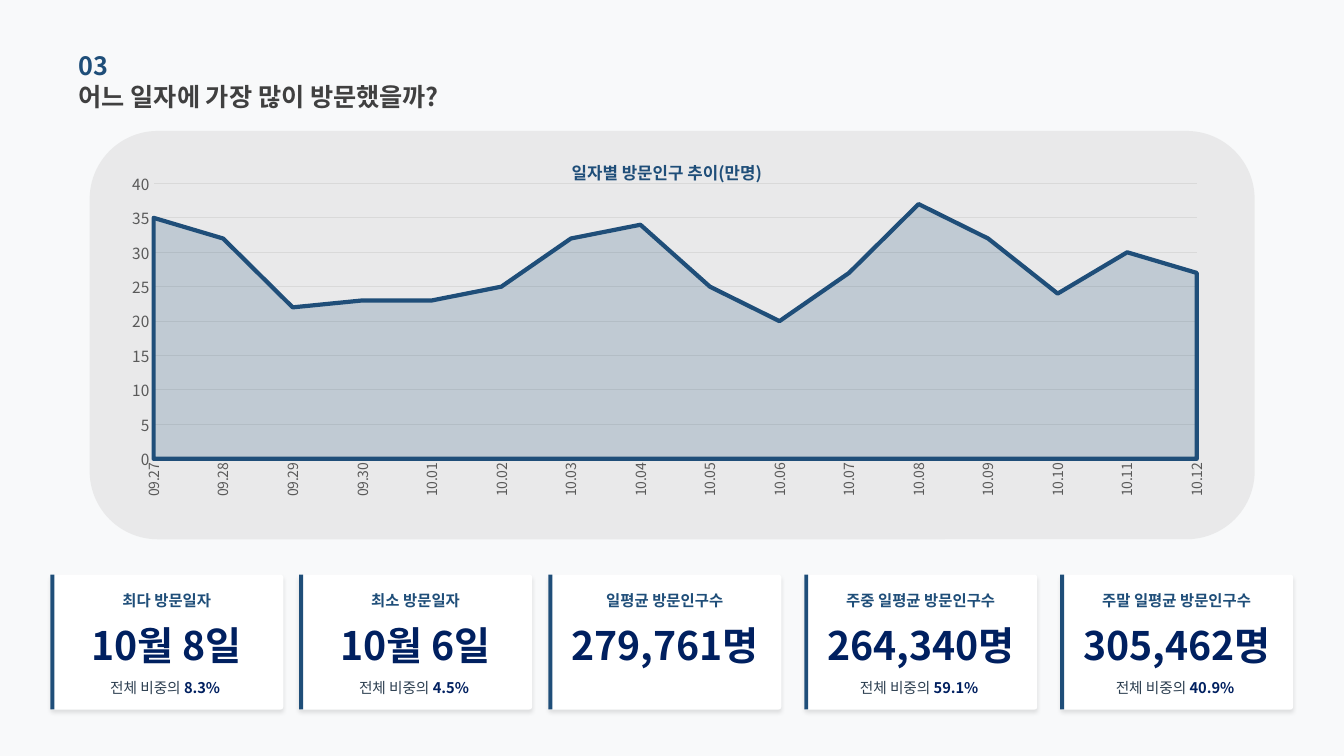
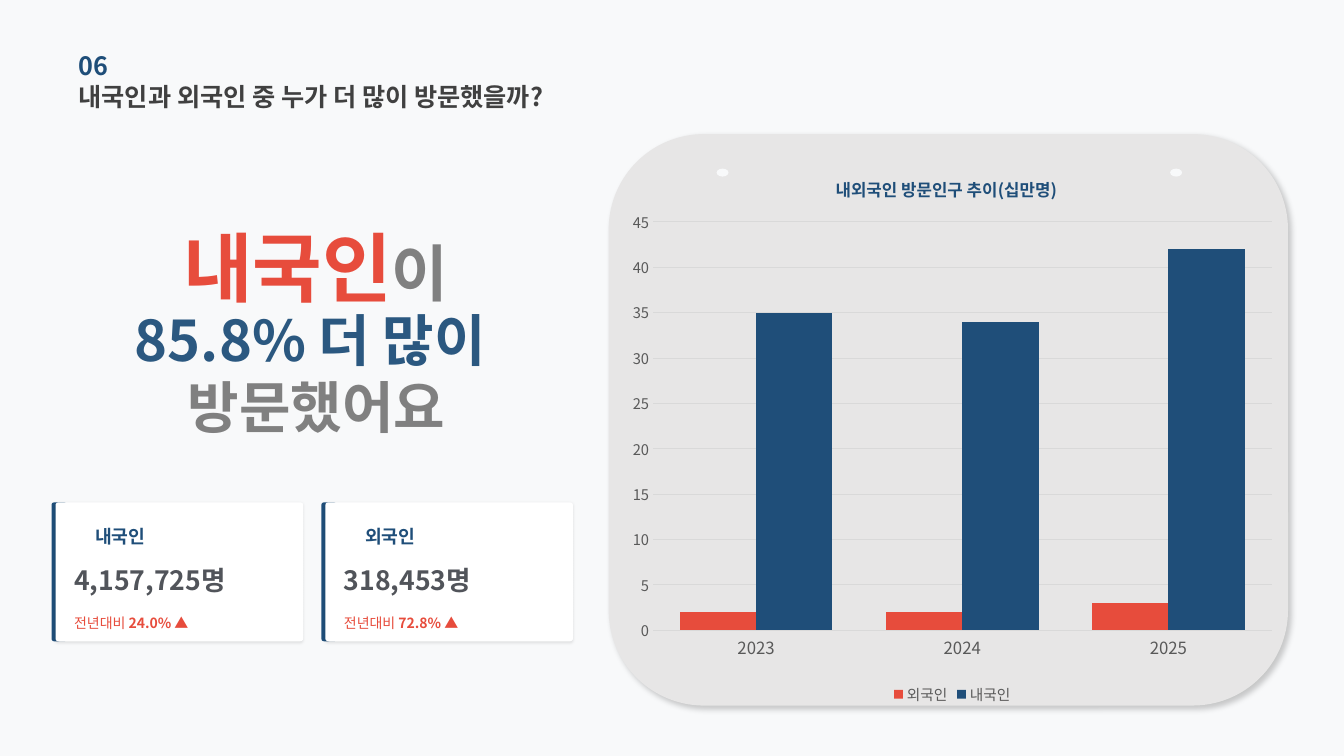
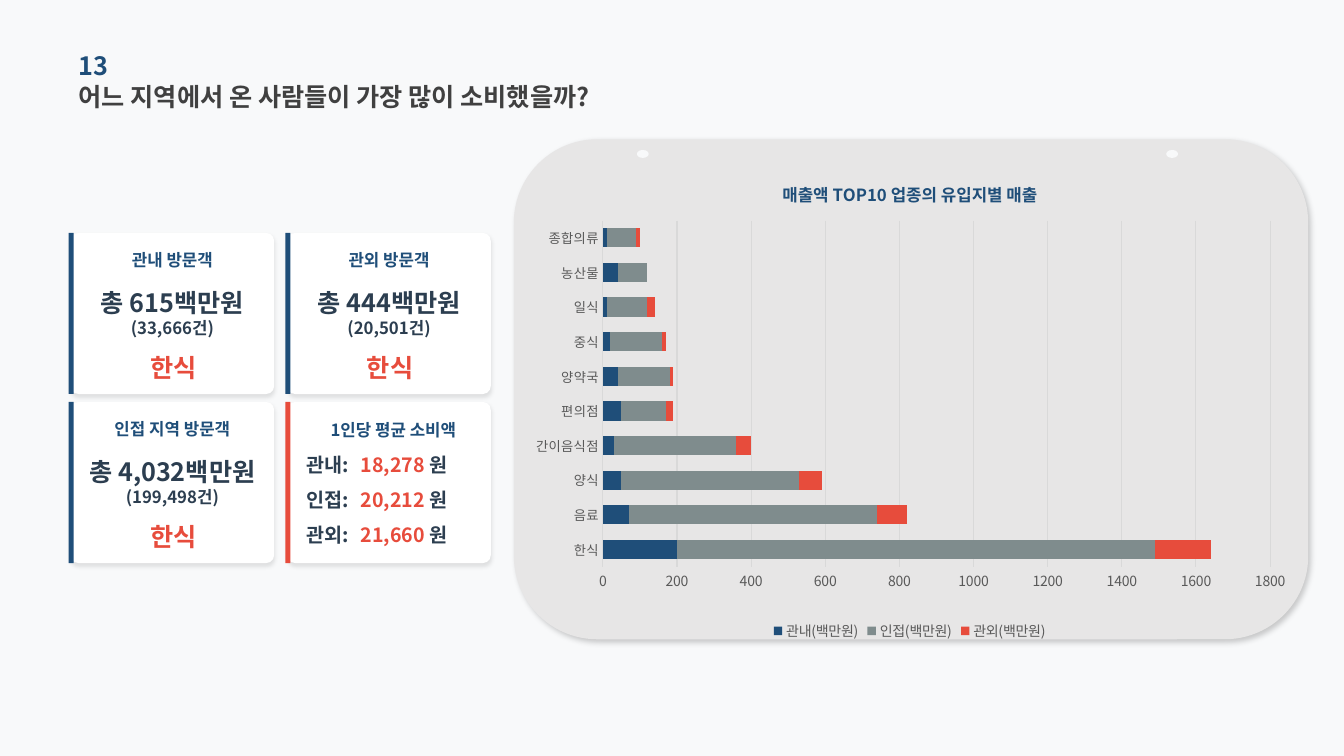
from collections import namedtuple

from pptx import Presentation
from pptx.chart.data import CategoryChartData
from pptx.dml.color import RGBColor
from pptx.enum.chart import XL_CHART_TYPE, XL_LEGEND_POSITION, XL_TICK_MARK
from pptx.enum.shapes import MSO_SHAPE
from pptx.enum.text import MSO_ANCHOR, MSO_AUTO_SIZE, PP_ALIGN
from pptx.oxml import parse_xml
from pptx.oxml.ns import nsdecls, qn
from pptx.util import Cm, Pt

AREA = XL_CHART_TYPE.AREA
COLUMN = XL_CHART_TYPE.COLUMN_CLUSTERED
STACKED_BAR = XL_CHART_TYPE.BAR_STACKED
LEGEND_BOTTOM = XL_LEGEND_POSITION.BOTTOM
NO_TICK = XL_TICK_MARK.NONE
RECT = MSO_SHAPE.RECTANGLE
ROUNDED = MSO_SHAPE.ROUNDED_RECTANGLE
OVAL = MSO_SHAPE.OVAL
MIDDLE = MSO_ANCHOR.MIDDLE
NO_FIT = MSO_AUTO_SIZE.NONE
LEFT = PP_ALIGN.LEFT
CENTER = PP_ALIGN.CENTER

FONT = "Noto Sans CJK KR"
BACKGROUND = RGBColor(0xF8, 0xF9, 0xFA)
WHITE = RGBColor(0xFF, 0xFF, 0xFF)
BLUE = RGBColor(0x1F, 0x4E, 0x79)
SOFT_BLUE = RGBColor(0x2B, 0x58, 0x80)
NAVY = RGBColor(0x00, 0x20, 0x60)
SLATE = RGBColor(0x2C, 0x3E, 0x50)
RED = RGBColor(0xE7, 0x4C, 0x3C)
TITLE_GRAY = RGBColor(0x40, 0x40, 0x40)
AXIS_GRAY = RGBColor(0x59, 0x59, 0x59)
FIGURE_GRAY = RGBColor(0x51, 0x54, 0x5A)
HEADLINE_GRAY = RGBColor(0x80, 0x80, 0x80)
SERIES_GRAY = RGBColor(0x7F, 0x8C, 0x8D)
GRID_GRAY = RGBColor(0xD9, 0xD9, 0xD9)
PANEL_GRAY = RGBColor(0xE7, 0xE6, 0xE6)
PALE_PANEL = RGBColor(0xD0, 0xCE, 0xCE)

Span = namedtuple("Span", "text size color bold", defaults=(True,))
Shadow = namedtuple("Shadow", "opacity blur distance angle")
Series = namedtuple("Series", "name values color")
ChartStyle = namedtuple("ChartStyle", "category_size value_size top step title_at plot_at")

CARD_SHADOW = Shadow(10, 3, 2, 90)
SMALL_SHADOW = Shadow(10, 2, 1, 90)
PANEL_SHADOW = Shadow(20, 4, 3, 45)


def set_font(font, size, color, bold=False):
    font.name = FONT
    font.size = Pt(size)
    font.bold = bold
    font.color.rgb = color
    font._rPr.append(parse_xml(f'<a:ea {nsdecls("a")} typeface="{FONT}"/>'))


def set_opacity(element, percent):
    color = next(element.iter(qn("a:srgbClr")))
    color.append(parse_xml(f'<a:alpha {nsdecls("a")} val="{percent * 1000}"/>'))


def fill_frame(frame, lines, align):
    frame.margin_left = frame.margin_right = frame.margin_top = frame.margin_bottom = 0
    frame.word_wrap = True
    frame.auto_size = NO_FIT
    frame.vertical_anchor = MIDDLE
    for index, spans in enumerate(lines):
        para = frame.add_paragraph() if index else frame.paragraphs[0]
        para.alignment = align
        if len(spans) == 1:
            set_font(para.font, *spans[0][1:])
        for span in spans:
            run = para.add_run()
            run.text = span.text
            if len(spans) > 1:
                set_font(run.font, *span[1:])


def add_text(page, box, *lines, align=LEFT):
    text_box = page.shapes.add_textbox(*map(Cm, box))
    fill_frame(text_box.text_frame, lines, align)


def add_block(page, kind, box, color, shadow=None, corner=None):
    block = page.shapes.add_shape(kind, *map(Cm, box))
    block.fill.solid()
    block.fill.fore_color.rgb = color
    block.line.fill.background()
    block.shadow.inherit = False
    if corner is not None:
        block.adjustments[0] = corner
    if shadow:
        block._element.spPr.find(qn("a:effectLst")).append(parse_xml(
            f'<a:outerShdw {nsdecls("a")} blurRad="{Pt(shadow.blur)}" '
            f'dist="{Pt(shadow.distance)}" dir="{shadow.angle * 60000}" '
            f'algn="tl" rotWithShape="0"><a:srgbClr val="000000">'
            f'<a:alpha val="{shadow.opacity * 1000}"/></a:srgbClr></a:outerShdw>'))
    return block


def add_page(deck, number, title):
    page = deck.slides.add_slide(deck.slide_layouts[5])
    heading = page.shapes.title
    heading.left, heading.top, heading.width, heading.height = map(Cm, (1.98, 1.9, 15, 1.04))
    fill_frame(heading.text_frame, [[Span(title, 18, TITLE_GRAY)]], LEFT)
    add_text(page, (1.98, 1.12, 11.5, 1.04), [Span(number, 18, BLUE)])
    return page


def add_pinned_panel(page, box, pin_lefts, pin_top):
    add_block(page, ROUNDED, box, PANEL_GRAY, PANEL_SHADOW)
    for left in pin_lefts:
        add_block(page, OVAL, (left, pin_top, 0.3, 0.2), BACKGROUND)


def layout_xml(position, inner=False):
    target = '<c:layoutTarget val="inner"/>' if inner else ""
    modes = "".join(f'<c:{axis}Mode val="edge"/>' for axis in "xy")
    values = "".join(f'<c:{key} val="{value}"/>' for key, value in zip("xywh", position))
    return parse_xml(f'<c:layout {nsdecls("c")}><c:manualLayout>{target}{modes}{values}'
                     f'</c:manualLayout></c:layout>')


def drop_layout(element):
    for layout in element.findall(qn("c:layout")):
        element.remove(layout)


def style_axis(axis, size):
    axis.major_tick_mark = axis.minor_tick_mark = NO_TICK
    set_font(axis.tick_labels.font, size, AXIS_GRAY)


def add_chart(page, kind, box, title, categories, series_list, style):
    data = CategoryChartData()
    data.categories = categories
    for series in series_list:
        data.add_series(series.name, series.values)
    chart = page.shapes.add_chart(kind, *map(Cm, box), data).chart
    set_font(chart.font, 10, AXIS_GRAY)

    chart.has_title = True
    para = chart.chart_title.text_frame.paragraphs[0]
    run = para.add_run()
    run.text = title
    set_font(run.font, 12, BLUE, True)
    title_element = chart.chart_title._element
    drop_layout(title_element)
    title_element.find(qn("c:tx")).addnext(layout_xml(style.title_at))
    plot_area = chart._chartSpace.chart.plotArea
    drop_layout(plot_area)
    plot_area.insert(0, layout_xml(style.plot_at, inner=True))

    style_axis(chart.category_axis, style.category_size)
    chart.category_axis.has_major_gridlines = False
    style_axis(chart.value_axis, style.value_size)
    chart.value_axis.minimum_scale = 0
    chart.value_axis.maximum_scale = style.top
    chart.value_axis.major_unit = style.step
    chart.value_axis.has_major_gridlines = True
    chart.value_axis.format.line.fill.background()
    for line in (chart.category_axis.format.line, chart.value_axis.major_gridlines.format.line):
        line.color.rgb = GRID_GRAY
        line.width = Pt(0.75)

    chart.plots[0].vary_by_categories = False
    for drawn, series in zip(chart.plots[0].series, series_list):
        drawn.format.fill.solid()
        drawn.format.fill.fore_color.rgb = series.color
    chart.has_legend = len(series_list) > 1
    return chart


def show_legend(chart, size):
    chart.legend.position = LEGEND_BOTTOM
    chart.legend.include_in_layout = False
    set_font(chart.legend.font, size, AXIS_GRAY)


def add_stat_card(page, left, label, value, share):
    top, width = 14.48, 5.87
    add_block(page, ROUNDED, (left, top, width, 3.4), WHITE, CARD_SHADOW, 0.02)
    add_block(page, RECT, (left, top, 0.1, 3.4), BLUE)
    add_text(page, (left, top + 0.36, width, 0.56), [Span(label, 11, BLUE)], align=CENTER)
    add_text(page, (left, top + 1.28, width, 0.97), [Span(value, 28, NAVY)], align=CENTER)
    if share:
        add_text(page, (left, top + 2.59, width, 0.53),
                 [Span("전체 비중의 ", 10.5, SLATE, False), Span(f"{share} ", 10.5, NAVY)],
                 align=CENTER)


def add_growth_card(page, left, label, value, growth):
    top = 12.66
    add_block(page, ROUNDED, (left - 0.1, top, 0.38, 3.5), BLUE)
    add_block(page, ROUNDED, (left, top, 6.24, 3.5), WHITE, SMALL_SHADOW, 0.02)
    add_text(page, (left + 1, top + 0.5, 3, 0.71), [Span(label, 13, BLUE)])
    add_text(page, (left + 0.47, top + 1.45, 5.5, 1), [Span(value, 19, FIGURE_GRAY)])
    add_text(page, (left + 0.47, top + 2.6, 5.5, 0.86),
             [Span("전년대비 ", 10, RED, False), Span(growth, 10, RED)])


def add_spend_base(page, left, top, accent):
    add_block(page, ROUNDED, (left, top, 5.13, 4.06), WHITE, CARD_SHADOW, 0.05)
    add_block(page, RECT, (left - 0.05, top, 0.13, 4.06), accent)


def add_spend_card(page, left, top, label, total, count):
    add_spend_base(page, left, top, BLUE)
    add_text(page, (left, top + 0.28, 5.13, 0.79), [Span(label, 12, BLUE)], align=CENTER)
    add_text(page, (left, top + 1.41, 5.13, 1.19),
             [Span(total, 18, SLATE)], [Span(count, 12, SLATE)], align=CENTER)
    add_text(page, (left + 0.05, top + 2.8, 5.08, 1.19), [Span("한식", 18, RED)], align=CENTER)


def add_average_card(page, left, top, averages):
    add_spend_base(page, left, top, RED)
    add_text(page, (left + 1.09, top + 0.38, 3.8, 0.64), [Span("1인당 평균 소비액", 12, BLUE)])
    for index, (label, amount) in enumerate(averages):
        row_top = top + 1.2 + 0.89 * index
        add_text(page, (left + 0.48, row_top, 1.5, 0.75), [Span(label, 14, SLATE)])
        add_text(page, (left + 1.85, row_top, 3.2, 0.75),
                 [Span(f"{amount} ", 14, RED), Span("원", 14, SLATE)])


def build_daily_page(deck):
    page = add_page(deck, "03", "어느 일자에 가장 많이 방문했을까?")
    panel = add_block(page, ROUNDED, (2.26, 3.3, 29.36, 10.29), PALE_PANEL)
    set_opacity(panel._element.spPr, 36)
    cards = (
        (1.27, "최다 방문일자", "10월 8일", "8.3%"),
        (7.54, "최소 방문일자", "10월 6일", "4.5%"),
        (13.82, "일평균 방문인구수", "279,761명", None),
        (20.27, "주중 일평균 방문인구수", "264,340명", "59.1%"),
        (26.72, "주말 일평균 방문인구수", "305,462명", "40.9%"),
    )
    for card in cards:
        add_stat_card(page, *card)
    days = [f"09.{day}" for day in range(27, 31)] + [f"10.{day:02}" for day in range(1, 13)]
    visitors = (35, 32, 22, 23, 23, 25, 32, 34, 25, 20, 27, 37, 32, 24, 30, 27)
    chart = add_chart(page, AREA, (2.74, 3.38, 28.27, 10.36), "일자별 방문인구 추이(만명)",
                      days, [Series("방문인구", visitors, BLUE)],
                      ChartStyle(10, 11, 40, 5, (0.41, 0.05), (0.04, 0.12, 0.93, 0.67)))
    area = chart.plots[0].series[0]
    set_opacity(area._element, 20)
    area.format.line.color.rgb = BLUE
    area.format.line.width = Pt(3)
    chart.value_axis._element.find(qn("c:crossBetween")).set("val", "midCat")
    labels = chart.category_axis._element.find(qn("c:txPr"))
    labels.find(qn("a:bodyPr")).set("rot", "-5400000")


def build_origin_page(deck):
    page = add_page(deck, "06", "내국인과 외국인 중 누가 더 많이 방문했을까?")
    add_pinned_panel(page, (15.34, 3.38, 17.12, 14.4), (18.06, 29.49), 4.25)
    add_text(page, (2.51, 6.1, 10.9, 1.22),
             [Span("내국인", 54, RED), Span("이", 44, HEADLINE_GRAY)], align=CENTER)
    add_text(page, (0.97, 8.33, 14.02, 2.13),
             [Span("85.8% 더 많이 ", 40, SOFT_BLUE)],
             [Span("방문했어요", 40, HEADLINE_GRAY)], align=CENTER)
    add_growth_card(page, 1.4, "내국인", "4,157,725명", "24.0% ▲")
    add_growth_card(page, 8.2, "외국인", "318,453명", "72.8% ▲")
    chart = add_chart(page, COLUMN, (15.62, 3.76, 16.76, 14.1), "내외국인 방문인구 추이(십만명)",
                      ("2023", "2024", "2025"),
                      [Series("외국인", (2, 2, 3), RED), Series("내국인", (35, 34, 42), BLUE)],
                      ChartStyle(12, 10.5, 45, 5, (0.32, 0.04), (0.05, 0.13, 0.93, 0.73)))
    chart.plots[0].gap_width = 70
    chart.plots[0].overlap = 0
    show_legend(chart, 10.5)


def build_spending_page(deck):
    page = add_page(deck, "13", "어느 지역에서 온 사람들이 가장 많이 소비했을까?")
    add_pinned_panel(page, (12.95, 3.51, 20.02, 12.6), (16.05, 29.39), 3.78)
    lefts, tops = (1.78, 7.24), (5.87, 10.13)
    add_spend_card(page, lefts[0], tops[0], "관내 방문객", "총 615백만원", "(33,666건)")
    add_spend_card(page, lefts[1], tops[0], "관외 방문객", "총 444백만원", "(20,501건)")
    add_spend_card(page, lefts[0], tops[1], "인접 지역 방문객", "총 4,032백만원", "(199,498건)")
    add_average_card(page, lefts[1], tops[1],
                     (("관내:", "18,278"), ("인접:", "20,212"), ("관외:", "21,660")))
    businesses = ("한식", "음료", "양식", "간이음식점", "편의점",
                  "양약국", "중식", "일식", "농산물", "종합의류")
    sales = [
        Series("관내(백만원)", (200, 70, 50, 30, 50, 40, 20, 10, 40, 10), BLUE),
        Series("인접(백만원)", (1290, 670, 480, 330, 120, 140, 140, 110, 80, 80), SERIES_GRAY),
        Series("관외(백만원)", (150, 80, 60, 40, 20, 10, 10, 20, 0, 10), RED),
    ]
    chart = add_chart(page, STACKED_BAR, (13.26, 3.96, 19.33, 12.29),
                      "매출액 TOP10 업종의 유입지별 매출", businesses, sales,
                      ChartStyle(9.5, 10, 1800, 200, (0.33, 0.04), (0.1, 0.13, 0.87, 0.71)))
    chart.plots[0].gap_width = 80
    chart.plots[0].overlap = 100
    show_legend(chart, 10)


def main():
    deck = Presentation()
    deck.slide_width, deck.slide_height = Cm(33.87), Cm(19.05)
    background = deck.slide_master.background.fill
    background.solid()
    background.fore_color.rgb = BACKGROUND
    build_daily_page(deck)
    build_origin_page(deck)
    build_spending_page(deck)
    deck.save("out.pptx")


if __name__ == "__main__":
    main()
